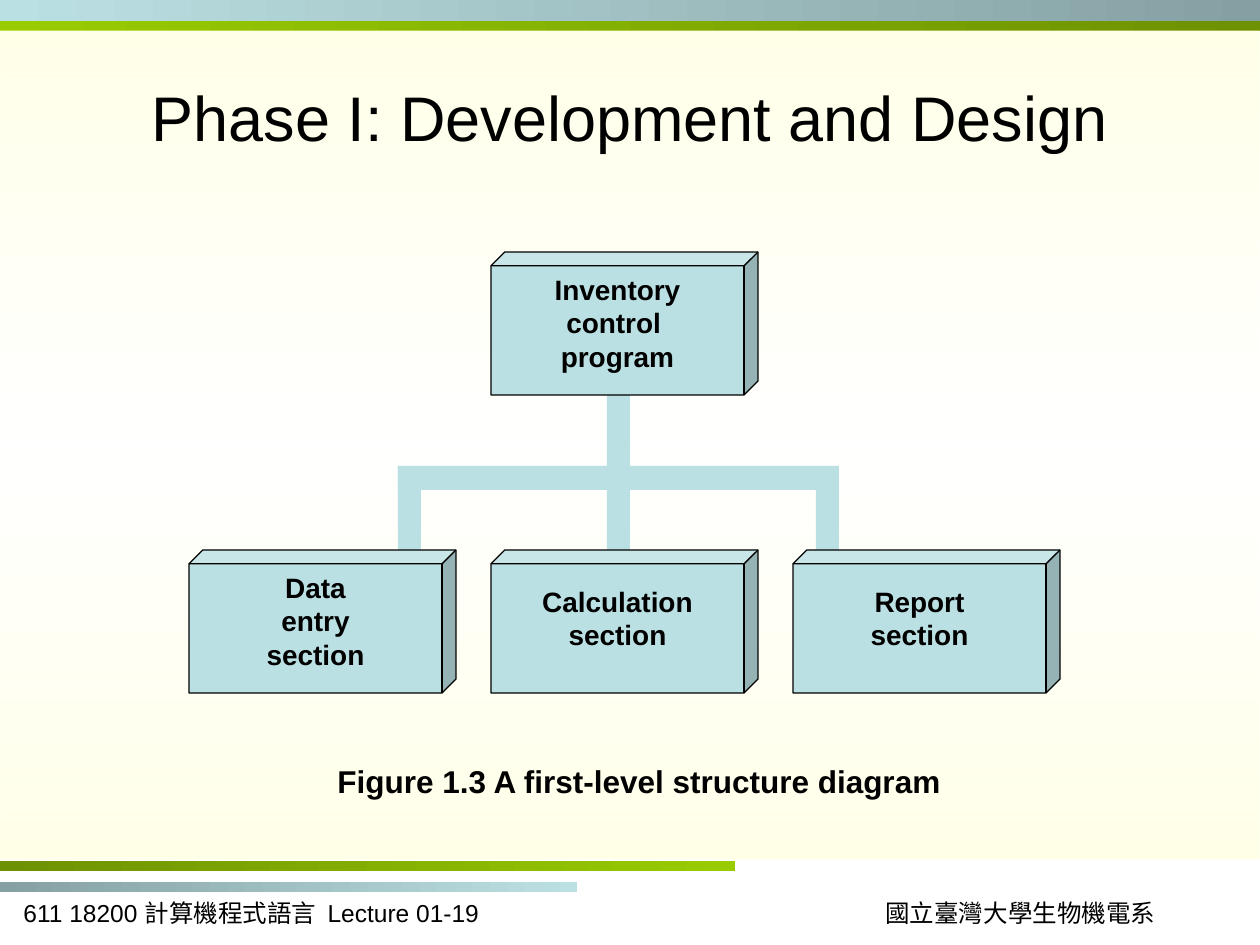
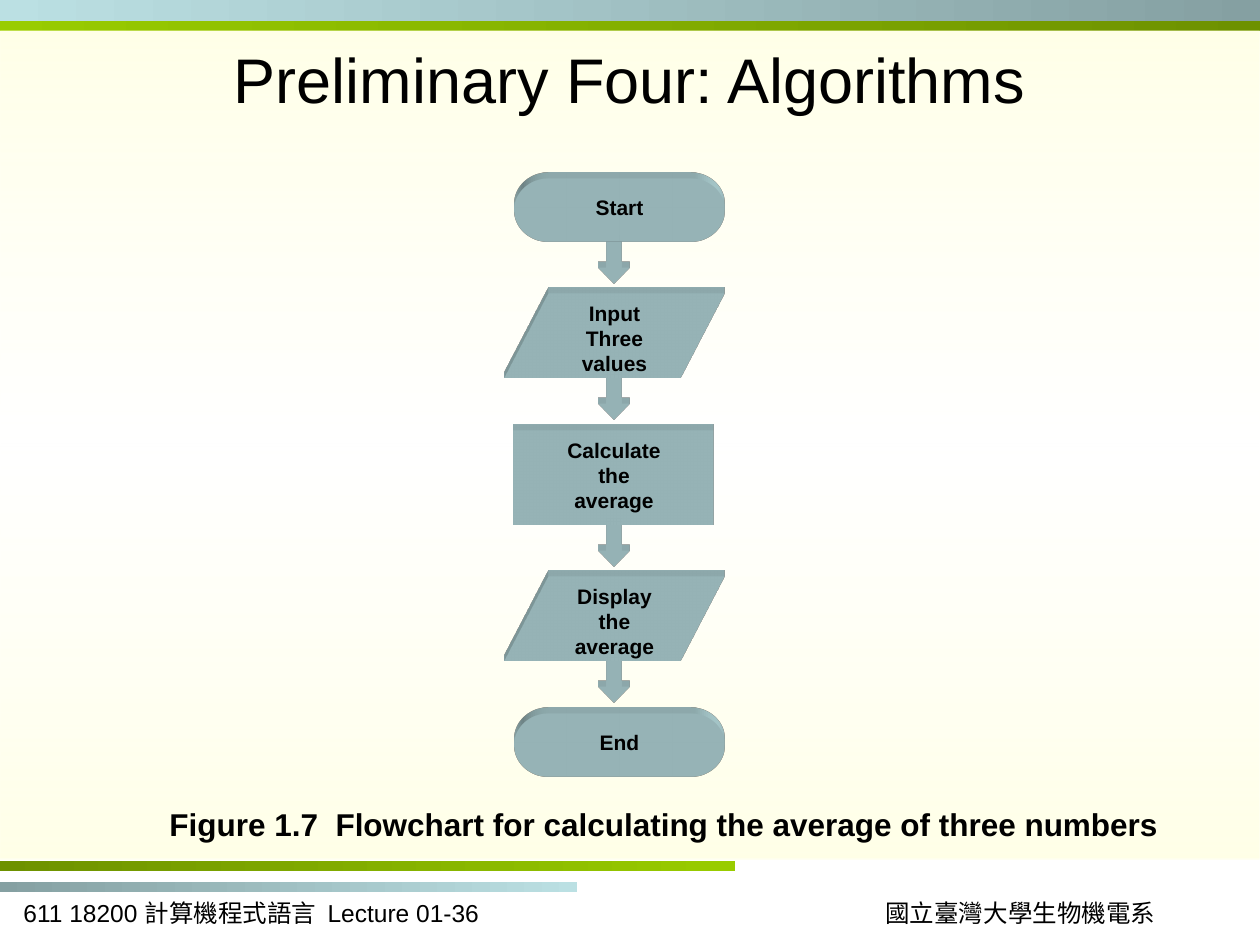
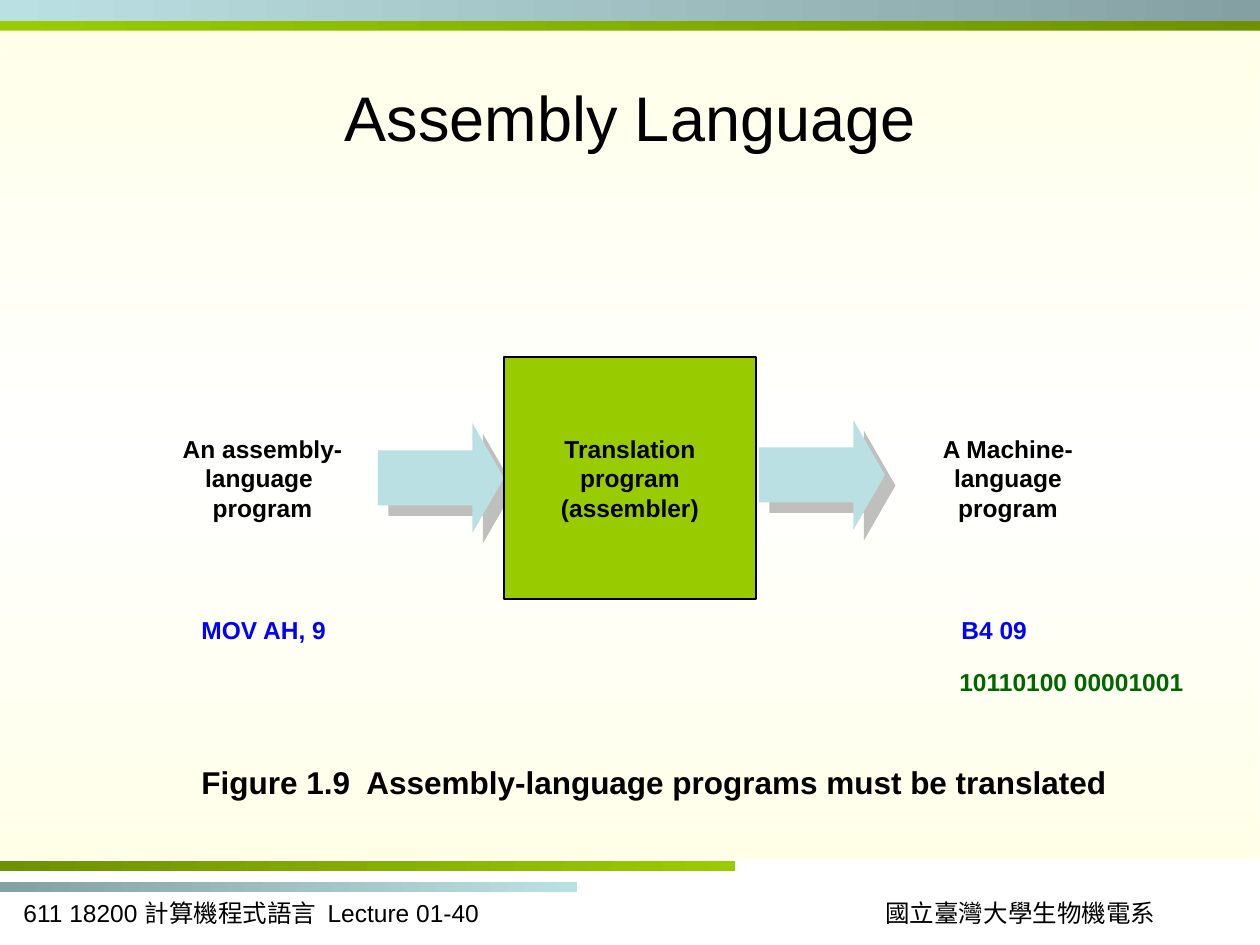
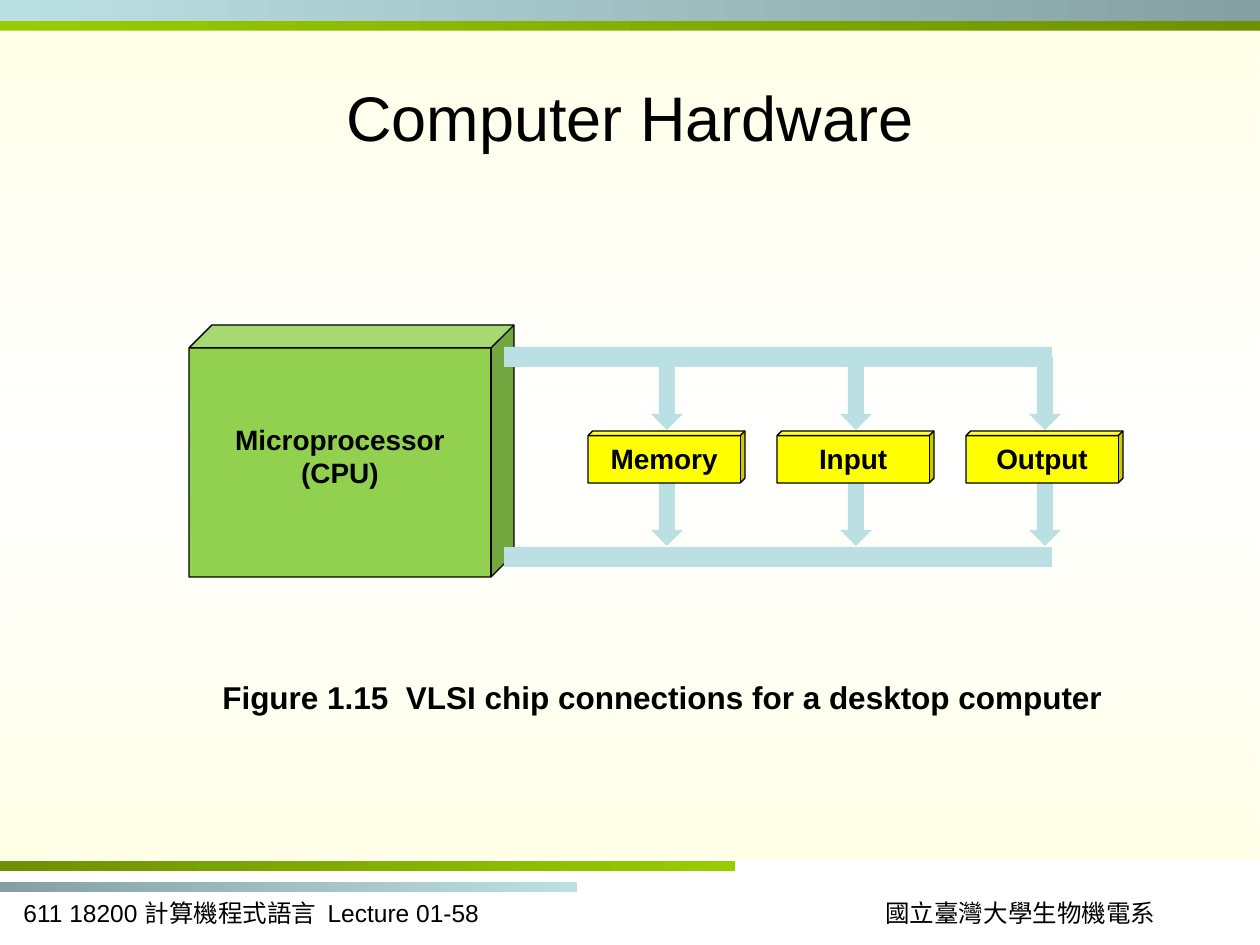
import dataclasses

import pptx
import pptx.dml.color
import pptx.enum.shapes
import pptx.enum.text
import pptx.oxml
import pptx.oxml.ns
import pptx.util

SCALE = 914400 / 126
SHAPES = pptx.enum.shapes.MSO_SHAPE
ALIGN = pptx.enum.text.PP_ALIGN
ANCHOR = pptx.enum.text.MSO_ANCHOR
FIT = pptx.enum.text.MSO_AUTO_SIZE
NAMESPACE = pptx.oxml.ns.nsdecls("a")


@dataclasses.dataclass(frozen=True)
class Theme:
    """Colours, fonts and type sizes."""
    ink: str = "000000"
    aqua: str = "BBE0E3"
    lime: str = "99CC00"
    cream: str = "FFFFCC"
    pale: str = "FFFFD8"
    green: str = "92D050"
    yellow: str = "FFFF00"
    blue: str = "0000FF"
    forest: str = "006600"
    grey: str = "808080"
    sans: str = "Arial"
    serif: str = "Times New Roman"
    title: int = 36
    caption: int = 18
    block: int = 16
    label: int = 14
    step: int = 12
    hairline: float = 0.75


def emu(px):
    """Convert px to EMU."""
    return round(px * SCALE)


def stop(position, colour, effect=""):
    """Return one gradient stop."""
    return f'<a:gs pos="{position * 1000}"><a:srgbClr val="{colour}">{effect}</a:srgbClr></a:gs>'


class Composer:
    """Draws styled elements on the current slide."""

    def __init__(self, theme):
        self.theme = theme
        self.deck = pptx.Presentation()
        self.deck.slide_width, self.deck.slide_height = emu(1260), emu(945)
        self.layout = self.deck.slide_layouts[5]
        self.page = None

    def start_page(self, title, number, place=(63, 38, 1134, 157)):
        """Start a slide with its title and footer."""
        self.page = self.deck.slides.add_slide(self.layout)
        if len(self.deck.slides) == 1:
            self.furnish()
        box = self.page.shapes.title
        box.left, box.top, box.width, box.height = map(emu, place)
        self.fill_text(box.text_frame, [title], self.theme.title, bold=False,
                       align=ALIGN.CENTER, anchor=ANCHOR.MIDDLE)
        self.text((11, 892, 599, 42), [f"611 18200 計算機程式語言  Lecture 01-{number}"],
                  self.theme.label, bold=False)

    def furnish(self):
        """Place the shared bands and department name on the layout."""
        theme = self.theme
        shade = '<a:shade val="46275"/>'
        bright_aqua, dark_aqua = (theme.aqua, ""), (theme.aqua, shade)
        bright_lime, dark_lime = (theme.lime, ""), (theme.lime, shade)
        edge = (theme.cream, '<a:alpha val="46000"/>')
        centre = (theme.pale, '<a:alpha val="0"/>')
        parts = [
            self.band((0, 20, 1260, 11), [bright_lime, dark_lime]),
            self.band((0, 31, 1260, 829), [edge, centre, edge], 90),
            self.band((0, 882, 577, 10), [dark_aqua, bright_aqua]),
            self.band((0, 861, 735, 10), [dark_lime, bright_lime]),
            self.band((0, 0, 1260, 21), [bright_aqua, dark_aqua]),
            self.text((872, 892, 297, 42), ["國立臺灣大學生物機電系"], theme.label,
                      bold=False, align=ALIGN.CENTER, font=theme.serif),
        ]
        for holder in list(self.layout.placeholders)[1:]:
            holder.element.getparent().remove(holder.element)
        for part in parts:
            self.layout.shapes.element.append(part.element)

    def fill_text(self, frame, lines, size, colour=None, bold=True, align=ALIGN.LEFT,
                  anchor=ANCHOR.TOP, font=None, wrap=True, lead=0):
        """Fill a text frame, one paragraph a line."""
        frame.auto_size = FIT.NONE
        frame.word_wrap = wrap
        frame.vertical_anchor = anchor
        frame.margin_left = frame.margin_right = emu(12.6)
        frame.margin_top, frame.margin_bottom = emu(6.3 + lead), emu(6.3)
        for index, line in enumerate(lines):
            para = frame.add_paragraph() if index else frame.paragraphs[0]
            para.alignment = align
            span = para.add_run()
            span.text = line
            span.font.name = font or self.theme.sans
            span.font.size = pptx.util.Pt(size)
            span.font.bold = bold
            span.font.color.rgb = pptx.dml.color.RGBColor.from_string(colour or self.theme.ink)

    def text(self, place, lines, size, **style):
        """Add a text box."""
        box = self.page.shapes.add_textbox(*map(emu, place))
        self.fill_text(box.text_frame, lines, size, **style)
        return box

    def caption(self, place, words):
        """Add a figure caption."""
        self.text(place, [words], self.theme.caption)

    def note(self, place, words, colour):
        """Add a one-line code note that hugs its text."""
        box = self.text(place, [words], self.theme.label, colour=colour, wrap=False)
        box.text_frame.auto_size = FIT.SHAPE_TO_FIT_TEXT

    def shape(self, kind, place, fill=None, outline=False, adjust=()):
        """Add a preset shape without a shadow."""
        box = self.page.shapes.add_shape(kind, *map(emu, place))
        box.shadow.inherit = False
        if fill:
            box.fill.solid()
            box.fill.fore_color.rgb = pptx.dml.color.RGBColor.from_string(fill)
        if outline:
            box.line.color.rgb = pptx.dml.color.RGBColor.from_string(self.theme.ink)
            box.line.width = pptx.util.Pt(self.theme.hairline)
        else:
            box.line.fill.background()
        for index, value in enumerate(adjust):
            box.adjustments[index] = value
        return box

    def band(self, place, colours, angle=0):
        """Add a rectangle with an evenly stepped gradient."""
        box = self.shape(SHAPES.RECTANGLE, place)
        gap = 100 // (len(colours) - 1)
        stops = "".join(stop(index * gap, *colour) for index, colour in enumerate(colours))
        box.element.spPr.insert(2, pptx.oxml.parse_xml(
            f'<a:gradFill {NAMESPACE} rotWithShape="1"><a:gsLst>{stops}</a:gsLst>'
            f'<a:lin ang="{angle * 60000}" scaled="1"/></a:gradFill>'))
        return box

    def bar(self, place):
        """Add a plain connecting bar."""
        self.shape(SHAPES.RECTANGLE, place, self.theme.aqua)

    def cube(self, place, lines, fill, depth, lead=0):
        """Add a labelled cube."""
        box = self.shape(SHAPES.CUBE, place, fill, True, [depth])
        self.fill_text(box.text_frame, lines, self.theme.block, align=ALIGN.CENTER, lead=lead)

    def extrude(self, box):
        """Give a shape a shallow upward depth."""
        for part in (
            '<a:scene3d {0}><a:camera prst="legacyObliqueTop"/>'
            '<a:lightRig rig="legacyFlat3" dir="tl"/></a:scene3d>',
            '<a:sp3d {0} extrusionH="88900" prstMaterial="legacyMatte">'
            '<a:extrusionClr><a:srgbClr val="{1}"/></a:extrusionClr></a:sp3d>',
        ):
            box.element.spPr.append(pptx.oxml.parse_xml(part.format(NAMESPACE, self.theme.aqua)))

    def step(self, kind, place, lines):
        """Add a raised flowchart step."""
        box = self.shape(kind, place, self.theme.aqua, True)
        self.extrude(box)
        self.fill_text(box.text_frame, lines, self.theme.step, align=ALIGN.CENTER)

    def down_arrow(self, place, raised=False):
        """Add a downward block arrow."""
        box = self.shape(SHAPES.DOWN_ARROW, place, self.theme.aqua, raised)
        if raised:
            self.extrude(box)

    def right_arrow(self, place):
        """Add a rightward block arrow with a drop shadow."""
        box = self.shape(SHAPES.RIGHT_ARROW, place, self.theme.aqua, adjust=[0.5, 0.287])
        effects = box.element.spPr.find(pptx.oxml.ns.qn("a:effectLst"))
        effects.append(pptx.oxml.parse_xml(
            f'<a:outerShdw {NAMESPACE} dist="107950" dir="2700000" algn="ctr" rotWithShape="0">'
            f'<a:srgbClr val="{self.theme.grey}"><a:alpha val="50000"/></a:srgbClr>'
            '</a:outerShdw>'))


def structure_slide(composer):
    """Build the first-level structure diagram."""
    composer.start_page("Phase I: Development and Design", 19)
    composer.caption((325, 756, 672, 50), "Figure 1.3 A first-level structure diagram")
    composer.bar((607, 395, 23, 155))
    for left in (398, 816):
        composer.bar((left, 466, 23, 84))
    composer.bar((398, 466, 441, 24))
    aqua = composer.theme.aqua
    composer.cube((491, 252, 267, 143), ["Inventory", "control ", "program"], aqua, 0.097)
    sections = [(["Data", "entry", "section"], 0), (["Calculation", "section"], 14),
                (["Report", "section"], 14)]
    for column, (lines, lead) in enumerate(sections):
        composer.cube((189 + 302 * column, 550, 267, 143), lines, aqua, 0.097, lead)


def flowchart_slide(composer):
    """Build the averaging flowchart."""
    composer.start_page("Preliminary Four: Algorithms", 36, (73, 0, 1113, 157))
    composer.caption((157, 799, 1030, 51),
                     "Figure 1.7  Flowchart for calculating the average of three numbers")
    steps = [
        (SHAPES.FLOWCHART_TERMINATOR, (514, 179, 211, 63), ["Start"]),
        (SHAPES.FLOWCHART_DATA, (504, 294, 221, 84), ["Input", "Three", "values"]),
        (SHAPES.FLOWCHART_PROCESS, (514, 431, 200, 94), ["Calculate", "the", "average"]),
        (SHAPES.FLOWCHART_DATA, (504, 577, 221, 84), ["Display", "the", "average"]),
        (SHAPES.FLOWCHART_TERMINATOR, (514, 714, 211, 63), ["End"]),
    ]
    for kind, place, lines in steps[:-1]:
        composer.down_arrow((598, place[1] + place[3], 32, 42), raised=True)
    for step in steps:
        composer.step(*step)


def assembler_slide(composer):
    """Build the assembler translation diagram."""
    theme = composer.theme
    composer.start_page("Assembly Language", 40)
    composer.caption((189, 757, 966, 51),
                     "Figure 1.9  Assembly-language programs must be translated")
    centred = {"align": ALIGN.CENTER, "anchor": ANCHOR.MIDDLE}
    composer.text((147, 357, 231, 242), ["An assembly-", "language ", "program"],
                  theme.label, **centred)
    composer.right_arrow((378, 423, 126, 110))
    box = composer.shape(SHAPES.RECTANGLE, (504, 357, 252, 242), theme.lime, True)
    composer.fill_text(box.text_frame, ["Translation", "program", "(assembler)"],
                       theme.label, **centred)
    composer.right_arrow((759, 420, 126, 110))
    composer.text((882, 357, 252, 242), ["A Machine-", "language", "program"],
                  theme.label, **centred)
    composer.note((189, 609, 151, 43), "MOV AH, 9", theme.blue)
    composer.note((949, 609, 91, 43), "B4 09", theme.blue)
    composer.note((947, 661, 250, 43), "10110100 00001001", theme.forest)


def hardware_slide(composer):
    """Build the chip connection diagram."""
    theme = composer.theme
    composer.start_page("Computer Hardware", 58)
    composer.caption((210, 672, 935, 51),
                     "Figure 1.15  VLSI chip connections for a desktop computer")
    units = ["Memory", "Input", "Output"]
    lefts = [588 + 189 * column for column in range(len(units))]
    for left in lefts:
        composer.down_arrow((left + 63, 473, 32, 73))
    composer.cube((189, 325, 325, 252), ["Microprocessor", "(CPU)"], theme.green, 0.091, 68)
    for left, unit in zip(lefts, units):
        composer.cube((left, 431, 157, 52), [unit], theme.yellow, 0.091)
    composer.bar((504, 347, 548, 20))
    for left in lefts:
        composer.down_arrow((left + 63, 357, 32, 73))
    composer.bar((504, 547, 548, 20))


def main():
    """Build and save the deck."""
    composer = Composer(Theme())
    for build in (structure_slide, flowchart_slide, assembler_slide, hardware_slide):
        build(composer)
    composer.deck.save("out.pptx")


if __name__ == "__main__":
    main()
